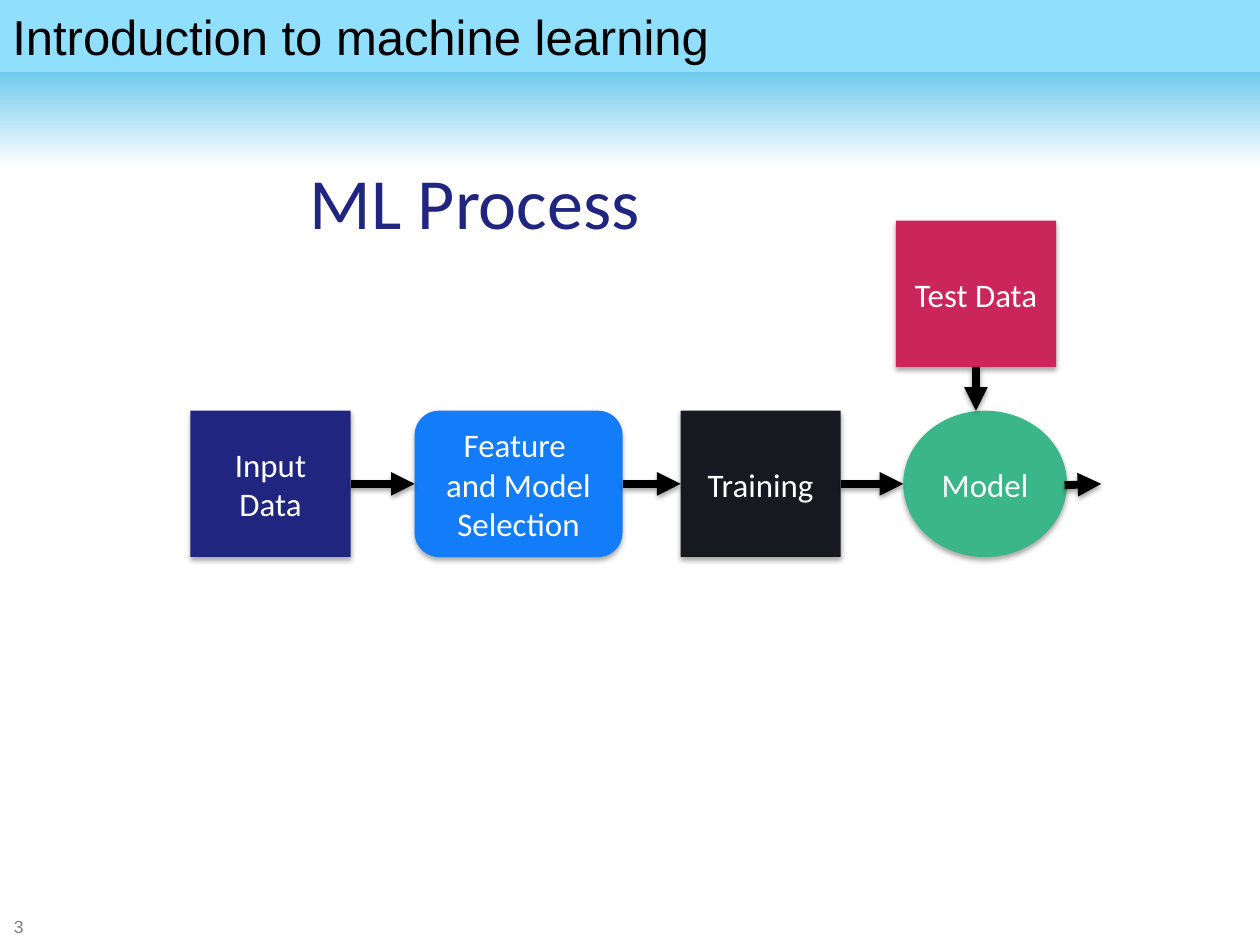
from pptx import Presentation
from pptx.dml.color import RGBColor
from pptx.enum.shapes import MSO_CONNECTOR, MSO_SHAPE as Shape
from pptx.enum.text import MSO_ANCHOR as Anchor, PP_ALIGN as Align
from pptx.oxml import parse_xml
from pptx.oxml.ns import nsdecls, qn
from pptx.util import Cm, Pt

BLACK = RGBColor(0x00, 0x00, 0x00)
WHITE = RGBColor(0xFF, 0xFF, 0xFF)
GRAY = RGBColor(0x80, 0x80, 0x80)
SKY = RGBColor(0x8F, 0xDF, 0xFD)
CYAN = RGBColor(0x03, 0xA2, 0xDF)
NAVY = RGBColor(0x20, 0x26, 0x80)
BLUE = RGBColor(0x13, 0x7C, 0xF8)
CHARCOAL = RGBColor(0x16, 0x19, 0x20)
GREEN = RGBColor(0x3A, 0xB6, 0x8A)
CRIMSON = RGBColor(0xCA, 0x26, 0x5B)

WIDTH, HEIGHT = 25.4, 19.05
BOX_W, BOX_H = 3.23, 2.95
ROW_TOP = 8.28
ROW_MID = ROW_TOP + BOX_H / 2


def write(sp, text, size, color, font="Calibri", align=Align.CENTER,
          anchor=Anchor.MIDDLE, inset=(0.25, 0.13)):
    """Fill a shape with text, one paragraph per line; inset is (sides, top and bottom)."""
    tf = sp.text_frame
    tf.word_wrap = True
    tf.vertical_anchor = anchor
    tf.margin_left = tf.margin_right = Cm(inset[0])
    tf.margin_top = tf.margin_bottom = Cm(inset[1])
    for i, line in enumerate(text.split("\n")):
        p = tf.paragraphs[0] if i == 0 else tf.add_paragraph()
        p.alignment = align
        r = p.add_run()
        r.text = line
        r.font.size, r.font.name = Pt(size), font
        r.font.color.rgb = color


def set_shadow(sp, opacity, distance):
    """Replace the theme's shadow with a soft one that falls straight down."""
    sp_pr = sp._element.spPr
    for old in sp_pr.findall(qn("a:effectLst")):
        sp_pr.remove(old)
    sp_pr.append(parse_xml(
        f'<a:effectLst {nsdecls("a")}><a:outerShdw blurRad="{Pt(3.1)}" '
        f'dist="{Pt(distance)}" dir="5400000" rotWithShape="0">'
        f'<a:srgbClr val="{BLACK}"><a:alpha val="{opacity * 1000}"/></a:srgbClr>'
        '</a:outerShdw></a:effectLst>'))


class Deck:
    font_size = 18.8
    arrow_width = 4.5

    def __init__(self):
        self.prs = Presentation()
        self.prs.slide_width, self.prs.slide_height = Cm(WIDTH), Cm(HEIGHT)
        self.s = self.prs.slides.add_slide(self.prs.slide_layouts[6])

    def shape(self, kind, x, y, w, h, color):
        sp = self.s.shapes.add_shape(kind, Cm(x), Cm(y), Cm(w), Cm(h))
        sp.shadow.inherit = False
        sp.line.fill.background()
        sp.fill.solid()
        sp.fill.fore_color.rgb = color
        return sp

    def gradient_band(self, h, top_color, bottom_color):
        sp = self.shape(Shape.RECTANGLE, 0, 0, WIDTH, h, top_color)
        sp.fill.gradient()
        sp.fill.gradient_angle = 270
        for stop, pos, color in zip(sp.fill.gradient_stops, (0, 1),
                                    (top_color, bottom_color)):
            stop.position, stop.color.rgb = pos, color

    def step(self, text, x, y, color, kind=Shape.RECTANGLE, w=BOX_W):
        sp = self.shape(kind, x, y, w, BOX_H, color)
        set_shadow(sp, 35, 1.8)
        write(sp, text, self.font_size, WHITE)

    def text(self, text, x, y, w, h, **style):
        write(self.s.shapes.add_textbox(Cm(x), Cm(y), Cm(w), Cm(h)), text, **style)

    def arrow(self, x1, y1, x2, y2):
        c = self.s.shapes.add_connector(MSO_CONNECTOR.STRAIGHT,
                                        Cm(x1), Cm(y1), Cm(x2), Cm(y2))
        c.line.width = Pt(self.arrow_width)
        c.line.color.rgb = BLACK
        c._element.spPr.find(qn("a:ln")).append(
            parse_xml(f'<a:tailEnd {nsdecls("a")} type="triangle"/>'))
        set_shadow(c, 38, 1.6)


def main():
    deck = Deck()
    deck.gradient_band(3.38, CYAN, WHITE)
    deck.text("3", 0.03, 18.47, 1, 0.4, size=10, color=GRAY, font="Arial",
              align=Align.LEFT, inset=(0.25, 0))
    header = deck.shape(Shape.RECTANGLE, 0, 0, WIDTH, 1.45, SKY)
    write(header, "Introduction to machine learning", 28, BLACK, font="Arial",
          align=Align.LEFT, anchor=Anchor.TOP)
    deck.text("ML Process", 0.03, 2.49, 19.08, 3.1, size=41.2, color=NAVY,
              inset=(0.18, 0.1))

    steps = [
        ("Input Data", 3.84, BOX_W, NAVY, Shape.RECTANGLE),
        ("Feature \nand Model Selection", 8.36, 4.19, BLUE, Shape.ROUNDED_RECTANGLE),
        ("Training", 13.72, BOX_W, CHARCOAL, Shape.RECTANGLE),
        ("Model", 18.21, 3.3, GREEN, Shape.OVAL),
    ]
    for text, x, w, color, kind in steps:
        deck.step(text, x, ROW_TOP, color, kind, w)
    test_x, test_y = 18.06, 4.45
    deck.step("Test Data", test_x, test_y, CRIMSON)

    for (_, x, w, *_), (_, next_x, *_) in zip(steps, steps[1:]):
        deck.arrow(x + w, ROW_MID, next_x, ROW_MID)
    test_mid = test_x + BOX_W / 2
    deck.arrow(test_mid, test_y + BOX_H, test_mid, ROW_TOP)
    deck.arrow(21.46, 9.78, 22.2, ROW_MID)

    deck.prs.save("out.pptx")


if __name__ == "__main__":
    main()
